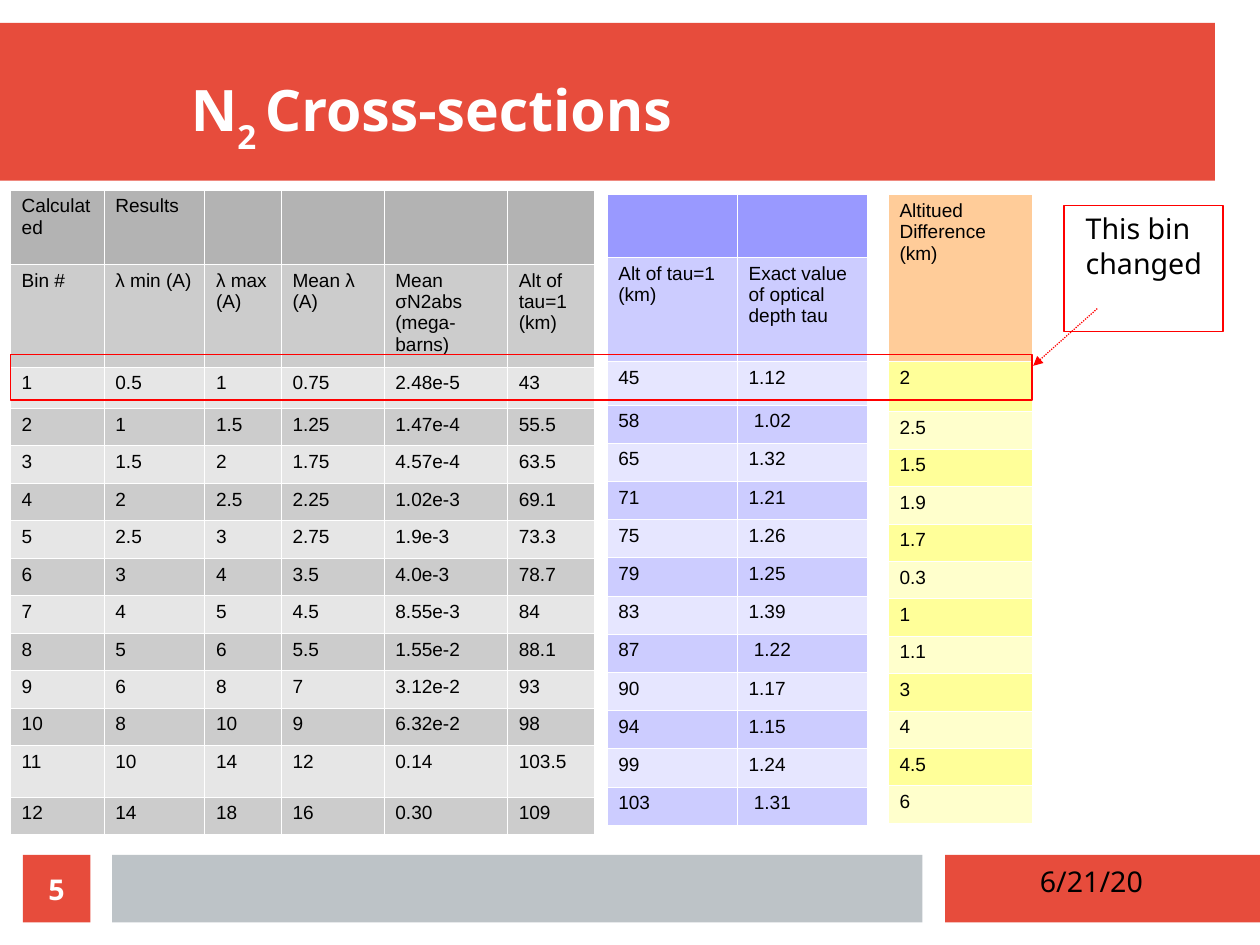
from lxml.etree import SubElement
from pptx import Presentation
from pptx.dml.color import RGBColor
from pptx.enum.dml import MSO_LINE
from pptx.enum.shapes import MSO_CONNECTOR, MSO_SHAPE
from pptx.enum.text import MSO_ANCHOR as ANCHOR, PP_ALIGN as ALIGN
from pptx.oxml import parse_xml
from pptx.oxml.ns import nsdecls, qn
from pptx.util import Inches, Pt

CM_PER_INCH = 2.54
RED, GREY, WHITE, BLACK, MARK = "E74C3C", "BDC3C7", "FFFFFF", "000000", "FF0000"
HEADING_FONT, TABLE_FONT = "Noto Sans", "Arial"

CALCULATED = [
    ["Calculated", "Results", "", "", "", ""],
    ["Bin #", "λ min (A)", "λ max (A)", "Mean λ (A)",
     "Mean σN2abs\n(mega-barns)", "Alt of tau=1 (km)"],
    ["1", "0.5", "1", "0.75", "2.48e-5", "43"],
    ["2", "1", "1.5", "1.25", "1.47e-4", "55.5"],
    ["3", "1.5", "2", "1.75", "4.57e-4", "63.5"],
    ["4", "2", "2.5", "2.25", "1.02e-3", "69.1"],
    ["5", "2.5", "3", "2.75", "1.9e-3", "73.3"],
    ["6", "3", "4", "3.5", "4.0e-3", "78.7"],
    ["7", "4", "5", "4.5", "8.55e-3", "84"],
    ["8", "5", "6", "5.5", "1.55e-2", "88.1"],
    ["9", "6", "8", "7", "3.12e-2", "93"],
    ["10", "8", "10", "9", "6.32e-2", "98"],
    ["11", "10", "14", "12", "0.14", "103.5"],
    ["12", "14", "18", "16", "0.30", "109"],
]
EXACT = [
    ["", ""],
    ["Alt of tau=1 (km)", "Exact value of optical depth tau"],
    ["45", "1.12"], ["58", " 1.02"], ["65", "1.32"], ["71", "1.21"],
    ["75", "1.26"], ["79", "1.25"], ["83", "1.39"], ["87", " 1.22"],
    ["90", "1.17"], ["94", "1.15"], ["99", "1.24"], ["103", " 1.31"],
]
DIFFERENCE = [["Altitued Difference (km)"]] + [
    [value] for value in ("2", "2.5", "1.5", "1.9", "1.7", "0.3",
                          "1", "1.1", "3", "4", "4.5", "6")]


def color(hex_code):
    return RGBColor.from_string(hex_code)


def set_font(font, name, size, hex_code, bold=False):
    font.name, font.size, font.bold = name, Pt(size), bold
    font.color.rgb = color(hex_code)


def add_box(slide, left, top, width, height, fill=None, outline=None):
    box = slide.shapes.add_shape(MSO_SHAPE.RECTANGLE, Inches(left), Inches(top),
                                 Inches(width), Inches(height))
    box.shadow.inherit = False
    if fill:
        box.fill.solid()
        box.fill.fore_color.rgb = color(fill)
    else:
        box.fill.background()
    if outline:
        box.line.color.rgb = color(outline)
        box.line.width = Pt(0.79)
    else:
        box.line.fill.background()
    return box


def add_text(slide, text, left, top, width, height):
    frame = slide.shapes.add_textbox(Inches(left), Inches(top), Inches(width),
                                     Inches(height)).text_frame
    frame.word_wrap = True
    frame.text = text
    set_font(frame.paragraphs[0].font, HEADING_FONT, 18, BLACK)


def add_title(slide):
    frame = slide.shapes.add_textbox(Inches(0.39), Inches(0.39), Inches(10.24),
                                     Inches(0.98)).text_frame
    frame.word_wrap = True
    frame.vertical_anchor = ANCHOR.BOTTOM
    frame.margin_left = Inches(1.28)
    frame.margin_top = frame.margin_right = frame.margin_bottom = 0
    title = frame.paragraphs[0]
    set_font(title.font, HEADING_FONT, 36, WHITE, bold=True)
    for text in ("N", "2 ", "Cross-sections"):
        title.add_run().text = text
    title.runs[1].font._element.set("baseline", "-33000")


def add_borders(cell):
    properties = cell._tc.get_or_add_tcPr()
    for place, side in enumerate(("lnL", "lnR", "lnT", "lnB")):
        properties.insert(place, parse_xml(
            f'<a:{side} {nsdecls("a")} w="{Pt(0.06)}"><a:solidFill>'
            f'<a:srgbClr val="{WHITE}"/></a:solidFill></a:{side}>'))


def add_data_table(slide, data, left, top, height, widths, special_heights, header, stripes):
    """Rows without a special height share the remaining height equally."""
    table = slide.shapes.add_table(len(data), len(widths), Inches(left), Inches(top),
                                   Inches(sum(widths)), Inches(height)).table
    table.first_row = table.horz_banding = False
    for column, width in zip(table.columns, widths):
        column.width = Inches(width)
    shared = (height - sum(special_heights.values())) / (len(data) - len(special_heights))
    for number, (row, values) in enumerate(zip(table.rows, data)):
        row.height = Inches(special_heights.get(number, shared))
        for cell, value in zip(row.cells, values):
            cell.text = value
            for paragraph in cell.text_frame.paragraphs:
                set_font(paragraph.font, TABLE_FONT, 12, BLACK)
            cell.fill.solid()
            cell.fill.fore_color.rgb = color(stripes[(number - 1) % 2] if number else header)
            add_borders(cell)


def add_arrow(slide, x1, y1, x2, y2):
    arrow = slide.shapes.add_connector(MSO_CONNECTOR.STRAIGHT, Inches(x1), Inches(y1),
                                       Inches(x2), Inches(y2))
    arrow.line.color.rgb = color(MARK)
    arrow.line.width = Pt(0.79)
    arrow.line.dash_style = MSO_LINE.ROUND_DOT
    SubElement(arrow.line._get_or_add_ln(), qn("a:tailEnd"), type="triangle")
    SubElement(arrow._element.spPr, qn("a:effectLst"))


def main():
    deck = Presentation()
    deck.slide_width = Inches(28 / CM_PER_INCH)
    deck.slide_height = Inches(21 / CM_PER_INCH)
    slide = deck.slides.add_slide(deck.slide_layouts[6])

    # Header and footer bands
    add_box(slide, 0, 0.2, 10.63, 1.38, RED)
    add_box(slide, 8.27, 7.48, 2.76, 0.59, RED)
    add_box(slide, 0.98, 7.48, 7.09, 0.59, GREY)
    add_title(slide)
    add_text(slide, "6/21/20", 9, 7.51, 1.27, 0.49)

    # Tables side by side
    add_data_table(slide, CALCULATED, 0.09, 1.66, 5.6, [0.82, 0.88, 0.67, 0.9, 1.08, 0.76],
                   {0: 0.65, 1: 0.86, 2: 0.36, 12: 0.45}, "B3B3B3", ("CCCCCC", "E6E6E6"))
    add_data_table(slide, EXACT, 5.31, 1.7, 5.52, [1.14, 1.14],
                   {0: 0.55, 1: 0.91, 2: 0.38}, "9999FF", ("CCCCFF", "E6E6FF"))
    add_data_table(slide, DIFFERENCE, 7.77, 1.7, 5.5, [1.26],
                   {0: 1.46, 1: 0.44}, "FFCC99", ("FFFF99", "FFFFCC"))

    # Marked bin and its remark
    add_box(slide, 0.09, 3.1, 8.94, 0.4, outline=MARK)
    add_text(slide, "This bin changed", 9.4, 1.8, 1.5, 0.9)
    add_arrow(slide, 9.6, 2.7, 9.04, 3.2)
    add_box(slide, 9.31, 1.8, 1.39, 1.1, outline=MARK)

    # Slide number
    number = add_box(slide, 0.2, 7.48, 0.59, 0.59, RED).text_frame
    number.margin_left = number.margin_top = number.margin_right = number.margin_bottom = 0
    number.vertical_anchor = ANCHOR.MIDDLE
    number.text = "5"
    number.paragraphs[0].alignment = ALIGN.CENTER
    set_font(number.paragraphs[0].font, HEADING_FONT, 18, WHITE, bold=True)

    deck.save("out.pptx")


if __name__ == "__main__":
    main()
